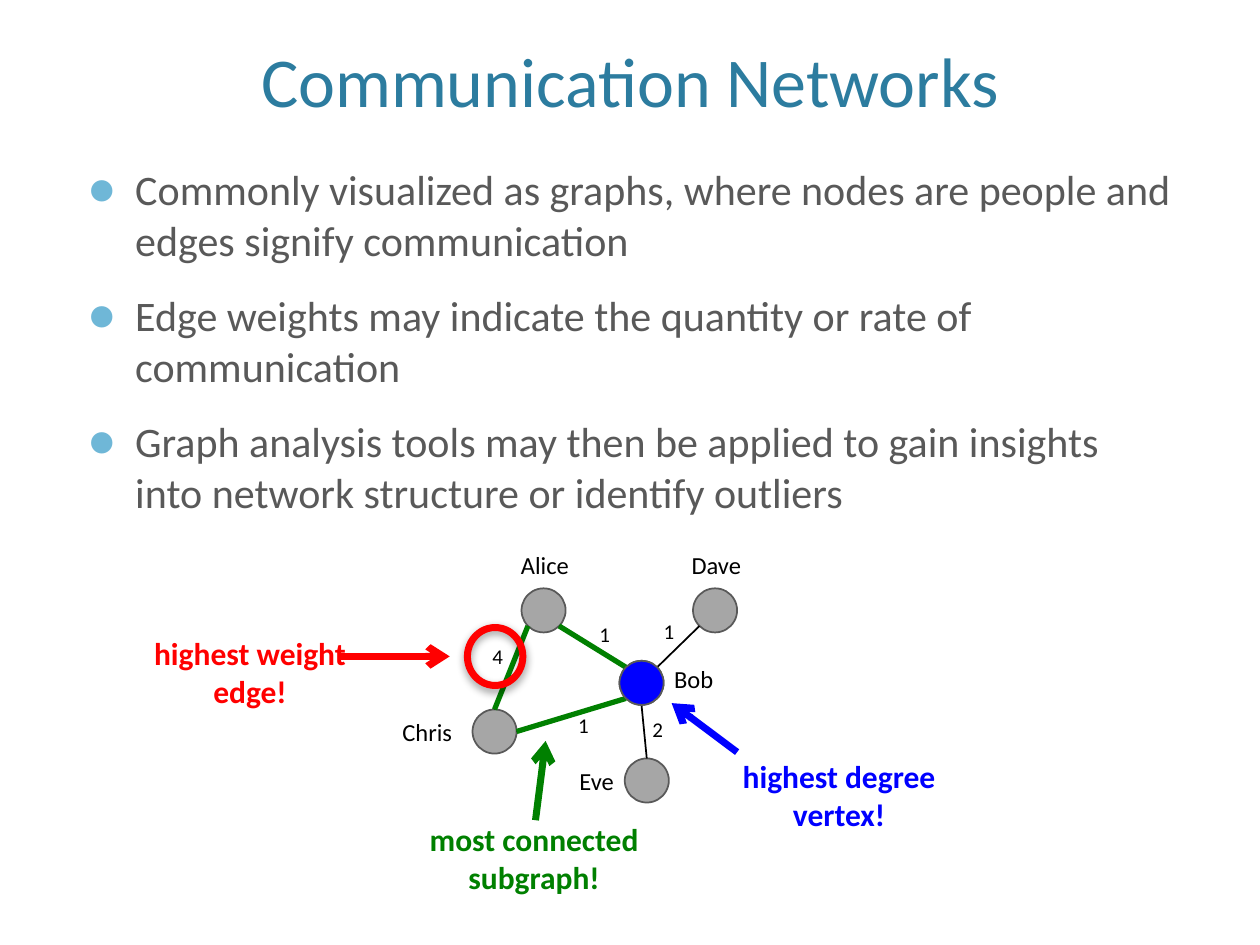
import math

from lxml import etree
from pptx import Presentation
from pptx import util as u
from pptx.dml.color import RGBColor
from pptx.enum import shapes, text
from pptx.oxml import parse_xml
from pptx.oxml.ns import nsdecls, qn

COLORS = {
    "title": "2C7C9F", "body": "595959", "bullet": "6FB7D7", "ink": "000000",
    "node": "A6A6A6", "outline": "595959",
    "subgraph": "008000", "degree": "0000FF", "weight": "FF0000",
}
NODE_SIZE = 25.2
# Left and top of each node, then left, top, width of its name
PEOPLE = {
    "Alice": ((298, 336.2), (280.8, 311, 61.2)),
    "Chris": ((270, 405.4), (208.8, 406, 70.6)),
    "Eve": ((357, 433.4), (310.3, 434.2, 61.2)),
    "Bob": ((354, 377.6), (365.8, 375.8, 61.2)),
    "Dave": ((396, 336.2), (378.7, 311, 61.2)),
}
# Each end is a person and the angle, clockwise from the right, of the contact
SUBGRAPH_EDGES = [
    (("Alice", 135), ("Chris", 270)),
    (("Alice", 45), ("Bob", 225)),
    (("Chris", 0), ("Bob", 135)),
]
OTHER_EDGES = [
    (("Bob", 90), ("Eve", 270)),
    (("Bob", 315), ("Dave", 135)),
]
WEIGHTS = [("4", 270, 364.3), ("2", 361.4, 406), ("1", 319, 403.9),
           ("1", 331.2, 351.4), ("1", 367.9, 349.9)]
POINTS = [
    "Commonly visualized as graphs, where nodes are people and edges signify communication",
    "Edge weights may indicate the quantity or rate of communication",
    "Graph analysis tools may then be applied to gain insights into network structure "
    "or identify outliers",
]
# Finding: wording, color, text box, arrow start, arrow end
FINDINGS = [
    ("most connected subgraph!", "subgraph", (228.2, 465.1, 154.1, 51), (306, 468.7), (311.8, 423.4)),
    ("highest degree vertex!", "degree", (408.2, 429.1, 142.6, 51), (421.2, 429.8), (383.8, 401.8)),
    ("highest weight edge!", "weight", (77, 358.6, 131.8, 51), (193, 375.1), (257, 375.1)),
]


def contact(person, angle):
    """Point on the rim of a person's node."""
    radius = NODE_SIZE / 2
    left, top = PEOPLE[person][0]
    turn = math.radians(angle)
    return left + radius * (1 + math.cos(turn)), top + radius * (1 + math.sin(turn))


class SlideBuilder:
    font_name = "Calibri"

    def __init__(self, deck):
        self.slide = deck.slides.add_slide(deck.slide_layouts[6])

    def text(self, wording, box, size, color="ink", bold=False, bullet=False,
             align=text.PP_ALIGN.CENTER, **frame_format):
        area = self.slide.shapes.add_textbox(*map(u.Pt, box))
        frame = area.text_frame
        frame_values = {"word_wrap": True,
                        "auto_size": text.MSO_AUTO_SIZE.SHAPE_TO_FIT_TEXT, **frame_format}
        for name, value in frame_values.items():
            setattr(frame, name, value)
        paragraph = frame.paragraphs[0]
        paragraph.alignment = align
        if bullet:
            self.add_bullet(paragraph)
        run = paragraph.add_run()
        run.text = wording
        for name, value in {"name": self.font_name, "size": u.Pt(size), "bold": bold}.items():
            setattr(run.font, name, value)
        run.font.color.rgb = RGBColor.from_string(COLORS[color])

    def add_bullet(self, paragraph):
        properties = paragraph._p.get_or_add_pPr()
        indent = u.Pt(27)
        properties.set("marL", str(indent))
        properties.set("indent", str(-indent))
        color = etree.SubElement(properties, qn("a:buClr"))
        etree.SubElement(color, qn("a:srgbClr"), val=COLORS["bullet"])
        etree.SubElement(properties, qn("a:buSzPct"), val="110000")
        etree.SubElement(properties, qn("a:buFont"), typeface=self.font_name)
        etree.SubElement(properties, qn("a:buChar"), char="●")

    def line(self, start, end, color="ink", width=1, arrow=False):
        connector = self.slide.shapes.add_connector(
            shapes.MSO_CONNECTOR.STRAIGHT, *map(u.Pt, (*start, *end)))
        connector.line.color.rgb = RGBColor.from_string(COLORS[color])
        connector.line.width = u.Pt(width)
        if arrow:
            etree.SubElement(connector.line._get_or_add_ln(), qn("a:tailEnd"), type="arrow")
        etree.SubElement(connector._element.spPr, qn("a:effectLst"))

    def ellipse(self, box, fill=None, outline="outline", width=1):
        oval = self.slide.shapes.add_shape(shapes.MSO_SHAPE.OVAL, *map(u.Pt, box))
        oval.shadow.inherit = False
        if fill:
            oval.fill.solid()
            oval.fill.fore_color.rgb = RGBColor.from_string(COLORS[fill])
        else:
            oval.fill.background()
        oval.line.color.rgb = RGBColor.from_string(COLORS[outline])
        oval.line.width = u.Pt(width)
        return oval

    def node(self, person, fill="node"):
        self.ellipse((*PEOPLE[person][0], NODE_SIZE, NODE_SIZE), fill)

    def ring(self, box, color):
        """Open circle with a soft shadow below it."""
        oval = self.ellipse(box, outline=color, width=4)
        effects = oval._element.spPr.find(qn("a:effectLst"))
        effects.append(parse_xml(
            f'<a:outerShdw {nsdecls("a")} blurRad="{u.Pt(5)}" dist="{u.Pt(2)}" dir="5400000" '
            f'rotWithShape="0"><a:srgbClr val="{COLORS["ink"]}"><a:alpha val="40000"/>'
            '</a:srgbClr></a:outerShdw>'))


def main():
    deck = Presentation()
    deck.slide_width, deck.slide_height = u.Pt(720), u.Pt(540)
    builder = SlideBuilder(deck)

    builder.text("Communication Networks", (43.2, 8.6, 633.6, 74.2), 40, "title",
                 auto_size=text.MSO_AUTO_SIZE.NONE,
                 vertical_anchor=text.MSO_ANCHOR.MIDDLE)

    for person in PEOPLE:
        builder.node(person)
    for start, end in SUBGRAPH_EDGES + OTHER_EDGES:
        builder.line(contact(*start), contact(*end))
    for weight, left, top in WEIGHTS:
        builder.text(weight, (left, top, 28.8, 25.9), 12)

    for row, point in enumerate(POINTS):
        builder.text(point, (43.2, 90 + 72 * row, 633.6, 65.5), 24, "body",
                     bullet=True, align=text.PP_ALIGN.LEFT)

    for start, end in SUBGRAPH_EDGES:
        builder.line(contact(*start), contact(*end), "subgraph", 3)
    builder.node("Bob", "degree")
    builder.ring((267.1, 358.6, 31.7, 33.1), "weight")
    for wording, color, box, start, end in FINDINGS:
        builder.line(start, end, color, 4, arrow=True)
        builder.text(wording, box, 18, color, bold=True)

    for person, (_, label) in PEOPLE.items():
        builder.text(person, (*label, 24.2), 14)

    deck.save("out.pptx")


if __name__ == "__main__":
    main()
